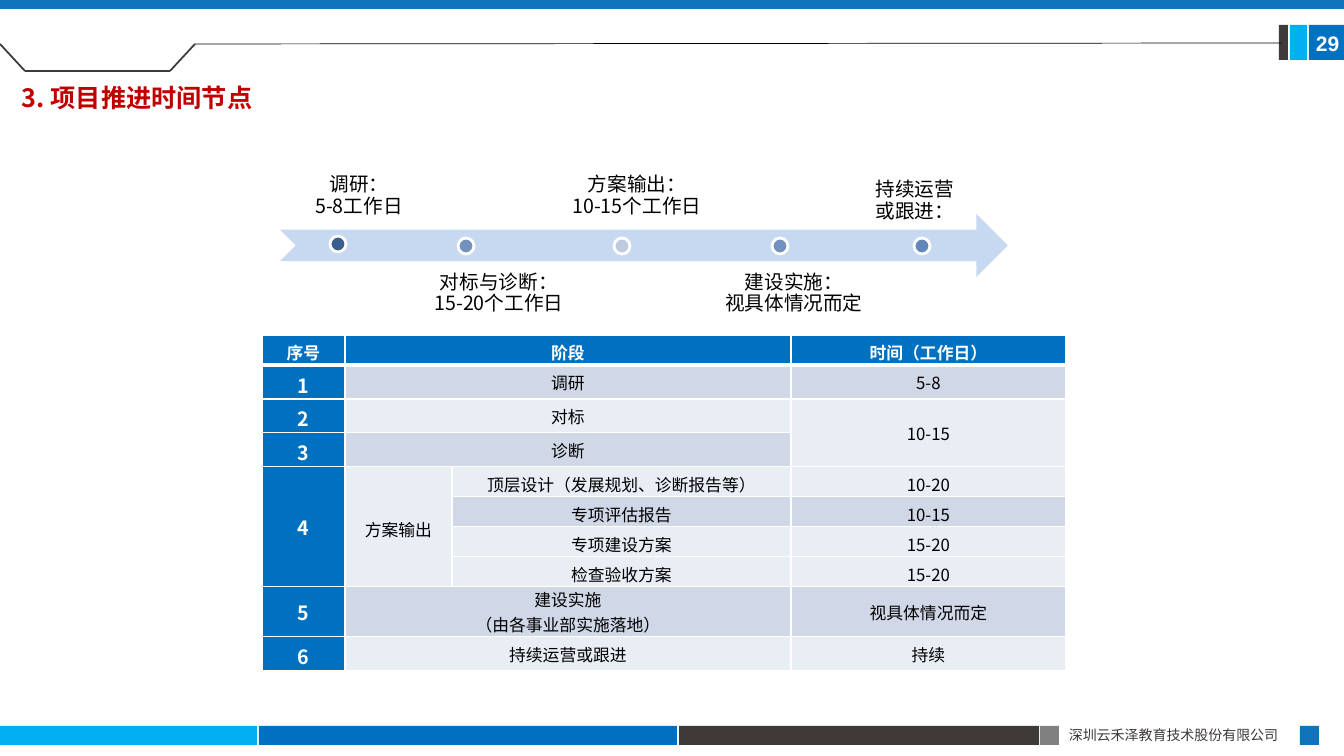
"""Builds the slide on project milestones: a timeline arrow above a table of stages."""
from lxml import etree
from pptx import Presentation
from pptx import util as u
from pptx.dml.color import RGBColor
from pptx.enum import shapes, text
from pptx.oxml import ns

SCALE = 914400 / 100.8
CJK = "Noto Sans CJK SC"
COLOURS = {
    "white": "FFFFFF", "black": "000000", "sky": "00B0F0", "blue": "0070C0",
    "steel": "1074BB", "dark": "3E3A39", "grey": "808080", "red": "C00000",
    "arrow": "C6D9F1", "band": "D0D8E8", "pale": "E9EDF4", "navy": "3A5F8C",
    "slate": "7391BF", "mist": "BECADF", "denim": "6387B9",
}
SHAPE = shapes.MSO_SHAPE
ALIGN = text.PP_ALIGN
ANCHOR = text.MSO_ANCHOR


def px(length):
    """Turn whole pixels into EMU."""
    return u.Emu(round(length * SCALE))


def colour(name):
    """Look up a colour by name."""
    return RGBColor.from_string(COLOURS[name])


def add_block(slide, box, fill, kind=SHAPE.RECTANGLE, outline=None):
    """Add a flat preset shape, outlined only when asked."""
    shape = slide.shapes.add_shape(kind, *map(px, box))
    shape.shadow.inherit = False
    shape.fill.solid()
    shape.fill.fore_color.rgb = colour(fill)
    if outline:
        shape.line.color.rgb = colour(outline)
        shape.line.width = u.Pt(2)
    else:
        shape.line.fill.background()


def add_line(slide, start, end, name, width):
    """Add a straight line between two points."""
    line = slide.shapes.add_connector(
        shapes.MSO_CONNECTOR.STRAIGHT, *map(px, start + end))
    line.line.color.rgb = colour(name)
    line.line.width = u.Pt(width)
    etree.SubElement(line._element.spPr, ns.qn("a:effectLst"))


def write(frame, lines, size, name, bold=False, align=ALIGN.LEFT, font=CJK):
    """Fill a text frame with one paragraph per line, all in one style."""
    frame.word_wrap = True
    for index, line in enumerate(lines):
        paragraph = frame.paragraphs[0] if index == 0 else frame.add_paragraph()
        paragraph.text = line
        paragraph.alignment = align
        paragraph.font.size = u.Pt(size)
        paragraph.font.bold = bold
        paragraph.font.color.rgb = colour(name)
        paragraph.font.name = font
        east_asian = etree.SubElement(paragraph.font._element, ns.qn("a:ea"))
        east_asian.set("typeface", font)


def add_text(slide, box, lines, size, name, **style):
    """Add a text box and return its frame."""
    frame = slide.shapes.add_textbox(*map(px, box)).text_frame
    write(frame, lines, size, name, **style)
    return frame


def draw_header(slide, box):
    """Draw the top bar, the folded rule, the page number and the title."""
    left, top, width, _ = box
    right = left + width
    add_block(slide, (left, top, width, 9), "steel")
    for offset, size, fill in ((65, 9, "dark"), (54, 17, "sky"), (35, 35, "blue")):
        add_block(slide, (right - offset, top + 25, size, 35), fill)
    fold = [(left, top + 44), (left + 25, top + 71),
            (left + 170, top + 71), (left + 195, top + 44)]
    for start, end in zip(fold, fold[1:]):
        add_line(slide, start, end, "dark", 1.25)
    add_line(slide, fold[-1], (right - 62, top + 43), "black", 0.5)
    add_text(slide, (right - 38, top + 26, 50, 35), ["29"], 15, "white",
             bold=True, font="Arial")
    add_text(slide, (left + 12, top + 77, 285, 40), ["3. 项目推进时间节点"],
             18, "red", bold=True)


def draw_footer(slide, box):
    """Draw the coloured strip and the company name."""
    left, top, _, height = box
    for offset, width, fill in ((0, 257, "sky"), (259, 418, "blue"), (679, 360, "dark"),
                                (1040, 19, "grey"), (1300, 19, "steel")):
        add_block(slide, (left + offset, top, width, height), fill)
    add_text(slide, (left + 1059, top - 4, 242, 27),
             ["深圳云禾泽教育技术股份有限公司"], 10, "dark", align=ALIGN.JUSTIFY)


def draw_timeline(slide, box):
    """Draw the arrow with its milestones, labelled above and below."""
    left, top, _, _ = box
    add_block(slide, box, "arrow", SHAPE.NOTCHED_RIGHT_ARROW)
    milestones = (
        (50, 22, "navy", 79, 11, ["调研：", "5-8工作日"]),
        (178, 24, "slate", 219, 120, ["对标与诊断：", "15-20个工作日"]),
        (334, 24, "mist", 357, 11, ["方案输出：", "10-15个工作日"]),
        (492, 24, "slate", 514, 120, ["建设实施：", "视具体情况而定"]),
        (634, 24, "denim", 635, 16, ["持续运营", "或跟进："]),
    )
    for dot_left, dot_top, fill, centre, edge, lines in milestones:
        add_block(slide, (left + dot_left, top + dot_top, 16, 16), fill,
                  SHAPE.OVAL, "white")
        above = edge < 100
        label_top = top + edge - 63 if above else top + edge - 64
        frame = add_text(slide, (left + centre - 91, label_top, 182, 63),
                         lines, 14, "black", align=ALIGN.CENTER)
        frame.vertical_anchor = ANCHOR.BOTTOM if above else ANCHOR.TOP
        frame.margin_left = frame.margin_right = px(8)
        frame.margin_top = frame.margin_bottom = px(8)
        for paragraph in frame.paragraphs:
            paragraph.line_spacing = u.Pt(10.8)
            paragraph.space_after = u.Pt(4.7)


def set_borders(cell, bottom_only_width=1, top_width=1):
    """Give a cell white borders, with its own top and bottom widths."""
    properties = cell._tc.get_or_add_tcPr()
    widths = {"L": 1, "R": 1, "T": top_width, "B": bottom_only_width}
    for side, width in widths.items():
        border = etree.SubElement(properties, ns.qn("a:ln" + side), w=str(u.Pt(width)))
        fill = etree.SubElement(border, ns.qn("a:solidFill"))
        etree.SubElement(fill, ns.qn("a:srgbClr"), val=COLOURS["white"])


def draw_table(slide, box):
    """Draw the table of stages and working days."""
    rows = (
        (30, "blue", ("序号", "阶段", "", "时间（工作日）")),
        (34, "band", ("1", "调研", "", "5-8")),
        (34, "pale", ("2", "对标", "", "10-15")),
        (34, "band", ("3", "诊断", "", "")),
        (30, "pale", ("4", "方案输出", "顶层设计（发展规划、诊断报告等）", "10-20")),
        (30, "band", ("", "", "专项评估报告", "10-15")),
        (30, "pale", ("", "", "专项建设方案", "15-20")),
        (30, "pale", ("", "", "检查验收方案", "15-20")),
        (50, "band", ("5", "建设实施\n（由各事业部实施落地）", "", "视具体情况而定")),
        (34, "pale", ("6", "持续运营或跟进", "", "持续")),
    )
    table = slide.shapes.add_table(len(rows), 4, *map(px, box)).table
    table.first_row = table.horz_banding = False
    for column, width in zip(table.columns, (83, 107, 339, 275)):
        column.width = px(width)
    for row, (height, fill, values) in enumerate(rows):
        table.rows[row].height = px(height)
        for column, value in enumerate(values):
            cell = table.cell(row, column)
            set_borders(cell, 3 if row == 0 else 1, 3 if row == 1 else 1)
            heading = row == 0 or column == 0
            cell.fill.solid()
            cell.fill.fore_color.rgb = colour("blue" if heading else fill)
            cell.vertical_anchor = ANCHOR.MIDDLE
            size = 14 if column == 0 and row > 0 else 12
            lines = value.split("\n")
            slack = height - len(lines) * (29 if size == 14 else 25)
            cell.margin_top = px(min(5, slack))
            cell.margin_bottom = px(min(5, max(0, slack - 5)))
            write(cell.text_frame, lines, size, "white" if heading else "black",
                  bold=heading, align=ALIGN.CENTER)
    for row in (0, 1, 2, 3, 8, 9):
        table.cell(row, 1).merge(table.cell(row, 2))
    for first, last, column in ((2, 3, 3), (4, 7, 0), (4, 7, 1)):
        table.cell(first, column).merge(table.cell(last, column))


def main():
    """Build and save the presentation."""
    presentation = Presentation()
    presentation.slide_width, presentation.slide_height = px(1344), px(756)
    slide = presentation.slides.add_slide(presentation.slide_layouts[6])
    draw_footer(slide, (0, 726, 1344, 19))
    draw_header(slide, (0, 0, 1344, 117))
    draw_table(slide, (262, 335, 804, 336))
    draw_timeline(slide, (280, 214, 728, 63))
    presentation.save("out.pptx")


if __name__ == "__main__":
    main()
